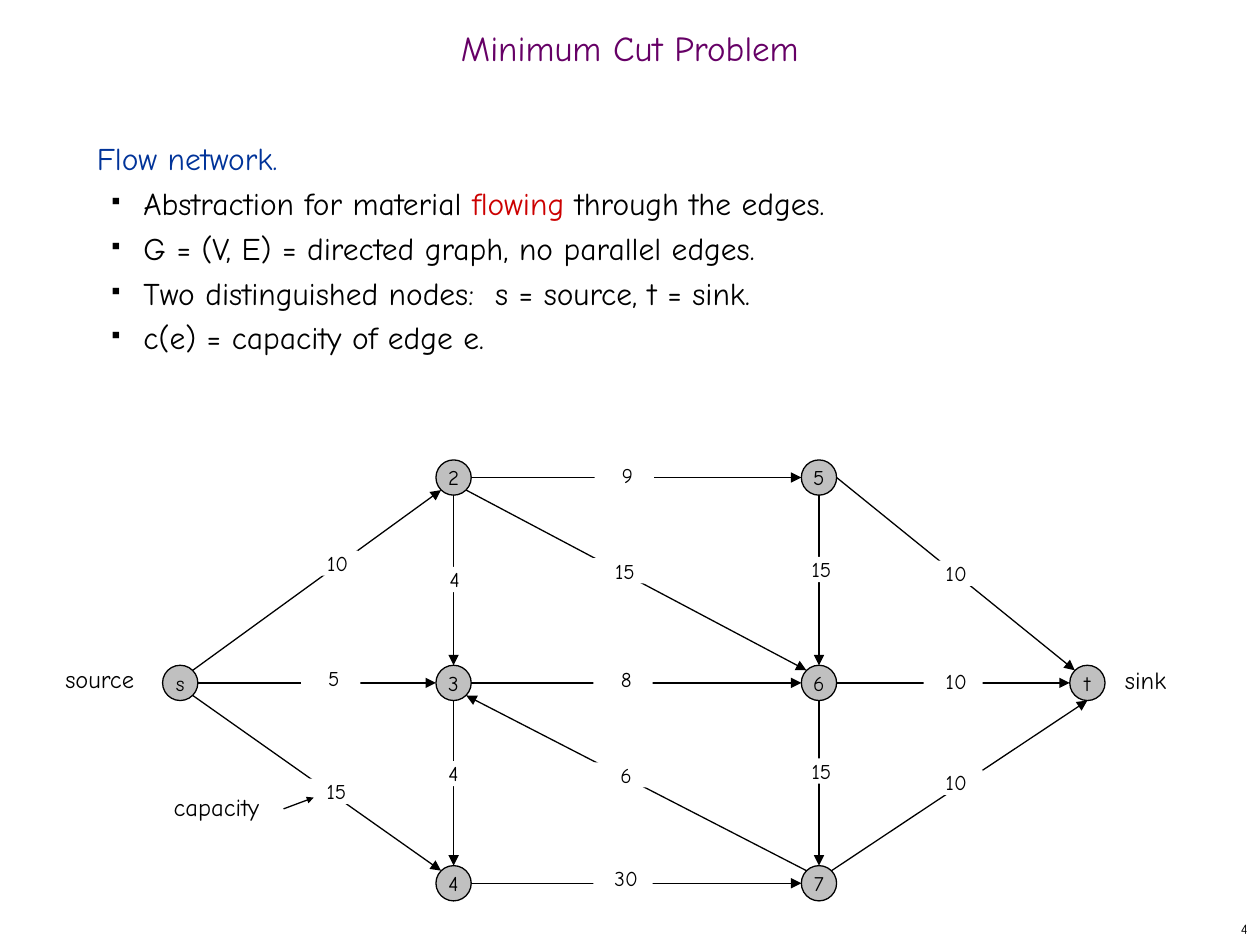
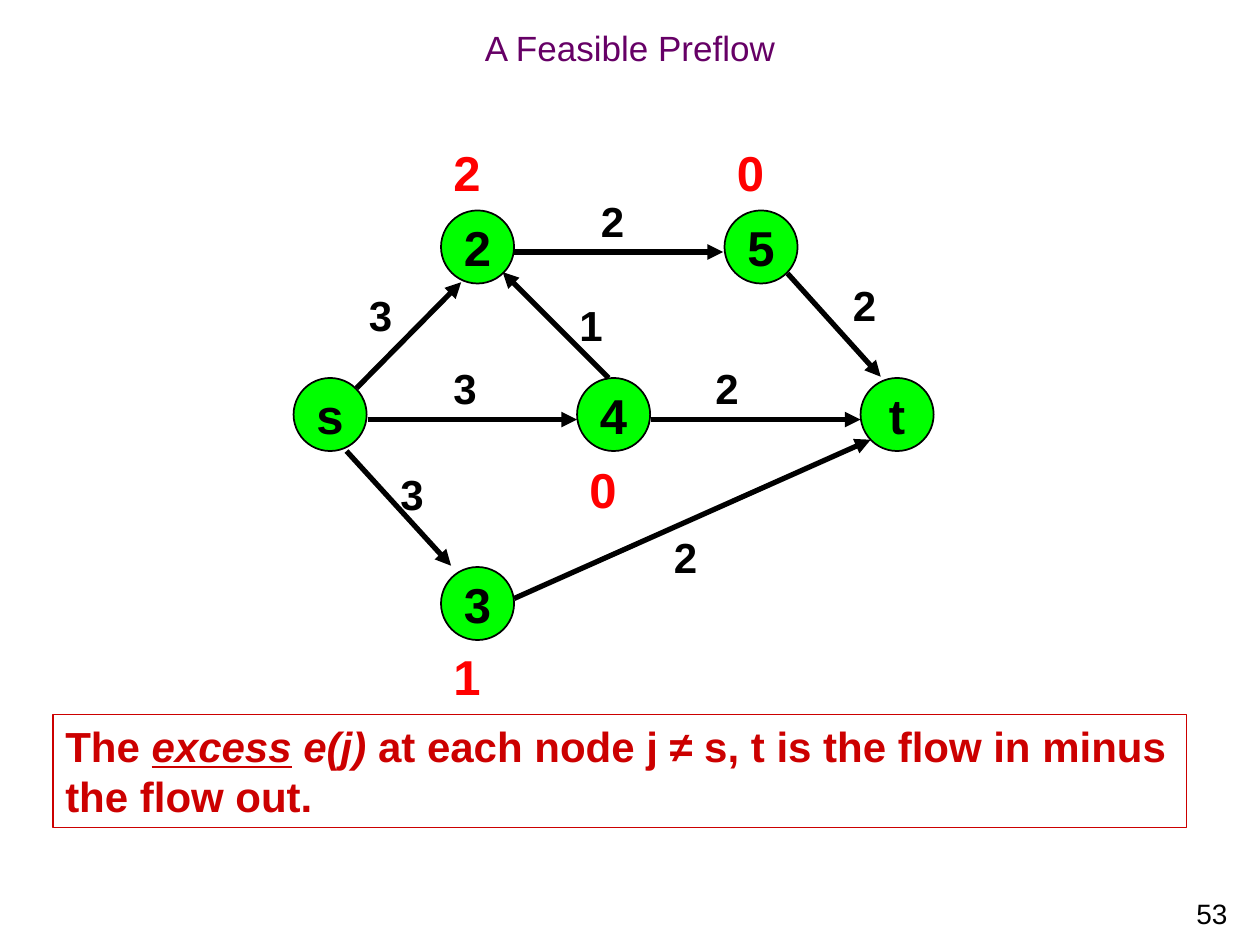
"""Builds two slides on flow networks: a capacity graph and a feasible preflow."""
from lxml import etree
from pptx import Presentation
from pptx.dml.color import RGBColor
from pptx.enum.shapes import MSO_CONNECTOR, MSO_SHAPE
from pptx.enum.text import MSO_ANCHOR, MSO_AUTO_SIZE, PP_ALIGN
from pptx.oxml.ns import qn
from pptx.util import Inches, Pt

LEFT, CENTER, RIGHT = PP_ALIGN.LEFT, PP_ALIGN.CENTER, PP_ALIGN.RIGHT
TOP, MIDDLE = MSO_ANCHOR.TOP, MSO_ANCHOR.MIDDLE
NO_FIT = MSO_AUTO_SIZE.NONE
OVAL, RECT = MSO_SHAPE.OVAL, MSO_SHAPE.RECTANGLE
STRAIGHT = MSO_CONNECTOR.STRAIGHT

COLORS = {
    "title": "660066", "heading": "003399", "accent": "CC0000", "excess": "FF0000",
    "ink": "000000", "paper": "FFFFFF", "gray": "C0C0C0", "green": "00FF00",
}


def rgb(name):
    return RGBColor.from_string(COLORS[name])


class Deck:
    def __init__(self):
        self.prs = Presentation()
        self.prs.slide_width, self.prs.slide_height = Inches(10), Inches(7.5)

    def slide(self, title, font):
        self.font = font
        self.s = self.prs.slides.add_slide(self.prs.slide_layouts[5])
        sp = self.s.shapes.title
        sp.left, sp.top, sp.width, sp.height = map(Inches, (0, 0.17, 10, 0.5))
        tf = sp.text_frame
        tf.text = title
        tf.auto_size = NO_FIT
        tf.paragraphs[0].line_spacing = 0.7
        self.style(tf, 20, "title", CENTER, MIDDLE)

    def style_run(self, r, size, color, bold=False):
        r.font.name, r.font.size, r.font.bold = self.font, Pt(size), bold
        r.font.color.rgb = rgb(color)

    def style(self, tf, size, color="ink", align=LEFT, anchor=TOP, bold=False):
        tf.vertical_anchor = anchor
        for p in tf.paragraphs:
            p.alignment = align
            for r in p.runs:
                self.style_run(r, size, color, bold)

    def text(self, box, text, size, color="ink", align=LEFT, anchor=TOP, bold=False):
        tf = self.s.shapes.add_textbox(*map(Inches, box)).text_frame
        tf.word_wrap = True
        tf.text = text
        self.style(tf, size, color, align, anchor, bold)

    def shape(self, kind, box, fill=None, line=None, width=0.75):
        sp = self.s.shapes.add_shape(kind, *map(Inches, box))
        sp.shadow.inherit = False
        if fill:
            sp.fill.solid()
            sp.fill.fore_color.rgb = rgb(fill)
        else:
            sp.fill.background()
        if line:
            sp.line.color.rgb = rgb(line)
            sp.line.width = Pt(width)
        else:
            sp.line.fill.background()
        return sp

    def node(self, name, x, y, diameter, fill, size, width, bold=False):
        sp = self.shape(OVAL, (x, y, diameter, diameter), fill, "ink", width)
        tf = sp.text_frame
        tf.word_wrap = False
        tf.text = name
        self.style(tf, size, "ink", CENTER, MIDDLE, bold)

    def edge_label(self, text, x, y, indent=0.05):
        tf = self.shape(RECT, (x, y, 0.47, 0.2), "paper").text_frame
        tf.word_wrap = True
        tf.margin_right = tf.margin_top = tf.margin_bottom = 0
        tf.margin_left = Inches(indent)
        tf.text = text
        self.style(tf, 12, "ink", CENTER)

    def arrow(self, start, end, width=0.75, head="med"):
        c = self.s.shapes.add_connector(STRAIGHT, *map(Inches, (*start, *end)))
        c.line.color.rgb = rgb("ink")
        c.line.width = Pt(width)
        ln = c.line._get_or_add_ln()
        etree.SubElement(ln, qn("a:tailEnd"), type="triangle", w=head, len=head)
        etree.SubElement(c._element.spPr, qn("a:effectLst"))

    def rich(self, p, parts, size, bold=False):
        for text, color, *marks in parts:
            r = p.add_run()
            r.text = text
            self.style_run(r, size, color, bold)
            r.font.italic = "i" in marks
            r.font.underline = "u" in marks

    def bullets(self, box, heading, items):
        tf = self.s.shapes.add_textbox(*map(Inches, box)).text_frame
        tf.word_wrap = True
        p = tf.paragraphs[0]
        p.line_spacing = Pt(25.6)
        self.rich(p, [(heading, "heading")], 18)
        for parts in items:
            p = tf.add_paragraph()
            p.line_spacing = Pt(25.6)
            self.rich(p, parts, 18)
            pPr = p._p.get_or_add_pPr()
            pPr.set("marL", str(Inches(0.37)))
            pPr.set("indent", str(Inches(-0.25)))
            clr = etree.SubElement(pPr, qn("a:buClr"))
            etree.SubElement(clr, qn("a:srgbClr"), val=COLORS["ink"])
            etree.SubElement(pPr, qn("a:buSzPct"), val="35000")
            etree.SubElement(pPr, qn("a:buChar"), char="■")


def minimum_cut(deck):
    deck.slide("Minimum Cut Problem", "Comic Neue")
    deck.text((7.92, 7.25, 2.08, 0.25), "4", 8, align=RIGHT, anchor=MIDDLE)
    deck.bullets((0.67, 1, 8.58, 5.92), "Flow network.", [
        [("Abstraction for material ", "ink"), ("flowing", "accent"),
         (" through the edges.", "ink")],
        [("G = (V, E) = directed graph, no parallel edges.", "ink")],
        [("Two distinguished nodes:  s = source, t = sink.", "ink")],
        [("c(e) = capacity of edge e.", "ink")],
    ])
    radius, diagonal = 0.14, 0.1
    sites = {
        "n": (0, -radius), "s": (0, radius), "e": (radius, 0), "w": (-radius, 0),
        "ne": (diagonal, -diagonal), "nw": (-diagonal, -diagonal),
        "se": (diagonal, diagonal), "sw": (-diagonal, diagonal),
    }
    top, mid, low = 3.79, 5.42, 7.01
    nodes = {
        "s": (1.43, mid), "2": (3.6, top), "3": (3.6, mid), "4": (3.6, low),
        "5": (6.5, top), "6": (6.5, mid), "7": (6.5, low), "t": (8.63, mid),
    }
    edges = [
        "s ne 2 sw", "s e 3 w", "s se 4 nw", "3 e 6 w", "7 nw 3 se", "3 s 4 n",
        "2 e 5 w", "4 e 7 w", "2 s 3 n", "6 s 7 n", "5 s 6 n", "2 se 6 nw",
        "5 e t nw", "6 e t w", "7 ne t s",
    ]

    def site(name, side):
        (x, y), (dx, dy) = nodes[name], sites[side]
        return x + dx, y + dy

    for name, (x, y) in nodes.items():
        deck.node(name, x - radius, y - radius, 2 * radius, "gray", 12, 0.75)
    for edge in edges:
        tail, tail_side, head, head_side = edge.split()
        deck.arrow(site(tail, tail_side), site(head, head_side))
    for text, x, y in [
        ("15", 2.41, 6.18), ("5", 2.39, 5.28), ("30", 4.71, 6.87), ("15", 6.26, 6.02),
        ("8", 4.71, 5.29), ("15", 4.7, 4.43), ("9", 4.72, 3.67), ("6", 4.71, 6.05),
        ("10", 7.33, 6.11), ("10", 7.33, 5.31), ("15", 6.26, 4.42), ("4", 3.35, 4.5),
        ("4", 3.34, 6.04),
    ]:
        deck.edge_label(text, x, y)
    for x, y in [(2.37, 4.37), (7.28, 4.45)]:
        deck.edge_label("10", x, y, 0.15)
    for text, x, y, width in [
        ("capacity", 1.28, 6.24, 0.95), ("source", 0.42, 5.22, 0.8),
        ("sink", 8.83, 5.23, 0.56),
    ]:
        deck.text((x, y, width, 0.33), text, 14)
    deck.arrow((2.25, 6.42), (2.49, 6.33), head="sm")


def feasible_preflow(deck):
    deck.slide("A Feasible Preflow", "Arial")
    deck.text((7.92, 7, 1.92, 0.5), "53", 16, align=RIGHT, anchor=MIDDLE)
    tf = deck.shape(RECT, (0.42, 5.67, 9, 0.9), line="accent").text_frame
    tf.word_wrap = True
    deck.rich(tf.paragraphs[0], [
        ("The ", "accent"), ("excess", "accent", "i", "u"), (" ", "accent"),
        ("e(j)", "accent", "i"),
        (" at each node j ≠ s, t is the flow in minus the flow out.", "accent"),
    ], 24, True)
    deck.style(tf, 24, "accent", bold=True)
    for name, x, y in [
        ("s", 2.33, 3), ("3", 3.5, 4.5), ("4", 4.58, 3),
        ("2", 3.5, 1.67), ("5", 5.75, 1.67), ("t", 6.83, 3),
    ]:
        deck.node(name, x, y, 0.58, "green", 28, 1, True)
    for start, end in [
        ((2.83, 3.08), (3.66, 2.24)), ((2.75, 3.58), (3.58, 4.49)),
        ((4.08, 2), (5.74, 2)), ((2.92, 3.33), (4.58, 3.33)),
        ((4.83, 3), (3.99, 2.16)), ((5.17, 3.33), (6.83, 3.33)),
        ((4.08, 4.75), (6.91, 3.49)), ((6.25, 2.17), (6.99, 2.99)),
    ]:
        deck.arrow(start, end, 3)
    for flow, x, y in [
        ("3", 2.83, 2.25), ("3", 3.5, 2.83), ("3", 3.08, 3.67), ("2", 5.58, 2.83),
        ("2", 6.67, 2.17), ("2", 5.25, 4.17), ("2", 4.67, 1.5), ("1", 4.5, 2.33),
    ]:
        deck.text((x, y, 0.49, 0.5), flow, 24, bold=True)
    for excess, x, y in [
        ("2", 3.5, 1.08), ("1", 3.5, 5.08), ("0", 4.58, 3.6), ("0", 5.75, 1.08),
    ]:
        deck.text((x, y, 0.5, 0.57), excess, 28, "excess", bold=True)


def main():
    deck = Deck()
    minimum_cut(deck)
    feasible_preflow(deck)
    deck.prs.save("out.pptx")


if __name__ == "__main__":
    main()
